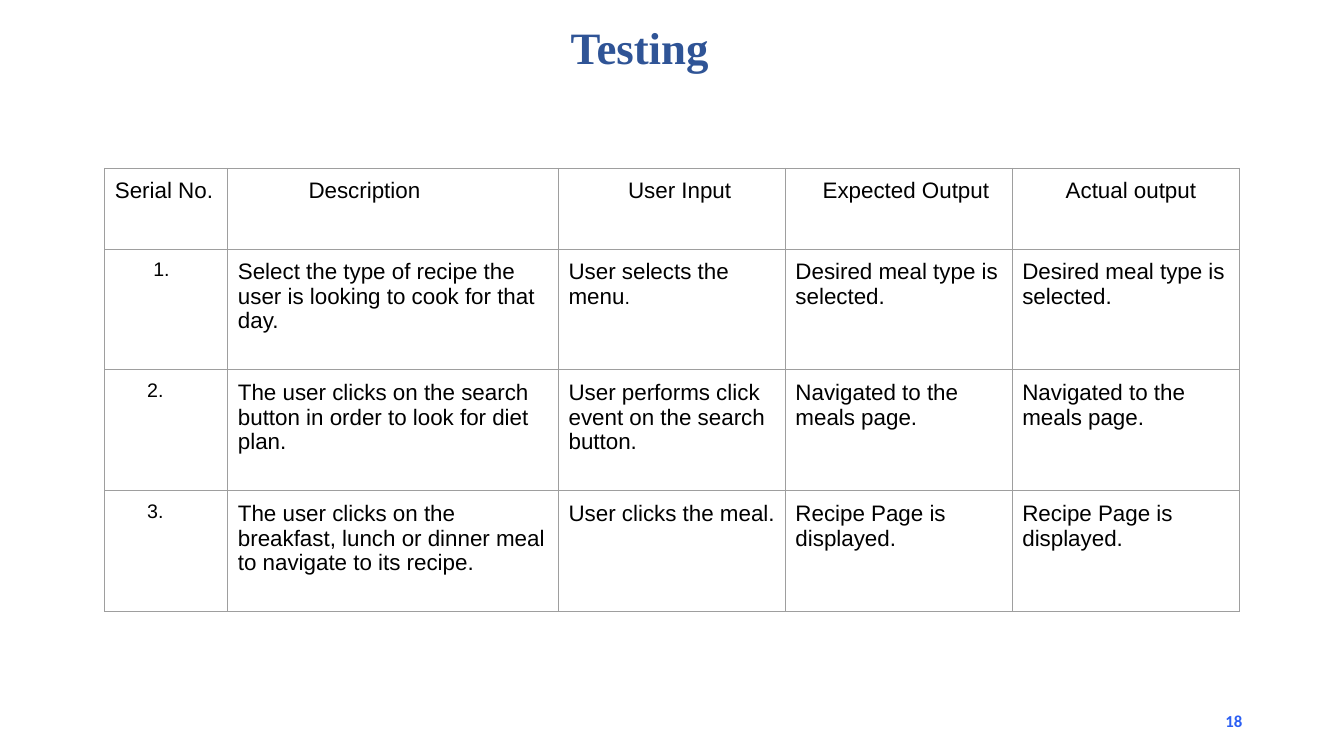
from lxml.etree import SubElement
from pptx import Presentation
from pptx.dml.color import RGBColor
from pptx.enum.text import MSO_ANCHOR, PP_ALIGN
from pptx.oxml.ns import qn
from pptx.util import Inches, Pt

COLUMN_WIDTHS = [1.22, 3.28, 2.25, 2.25, 2.25]
ROW_HEIGHTS = [0.8, 1.2, 1.2, 1.2]
HEADERS = ["Serial No.", "Description", "User Input", "Expected Output", "Actual output"]
HEADER_INDENTS = [0.1, 0.8, 0.69, 0.37, 0.53]
NUMBER_INDENTS = [0.48, 0.42, 0.42]
TEST_CASES = [
    ["1.", "Select the type of recipe the user is looking to cook for that day.",
     "User selects the menu", "Desired meal type is selected.",
     "Desired meal type is selected."],
    ["2.", "The user clicks on the search button in order to look for diet plan.",
     "User performs click event on the search button.",
     "Navigated to the meals page.", "Navigated to the meals page."],
    ["3.", "The user clicks on the breakfast, lunch or dinner meal to navigate to its recipe.",
     "User clicks the meal.", "Recipe Page is displayed.", "Recipe Page is displayed."],
]


def rgb(hex_color):
    return RGBColor.from_string(hex_color)


class SlideBuilder:
    body_font = "Arial"
    body_color = "000000"
    border_color = "9E9E9E"
    border_width = Pt(0.75)
    cell_margin = Inches(0.1)

    def __init__(self, slide):
        self.slide = slide

    def style_run(self, run, size, font=body_font, color=body_color, bold=False):
        run.font.size = Pt(size)
        run.font.name = font
        run.font.bold = bold
        run.font.color.rgb = rgb(color)

    def text(self, words, left, top, width, height, size, font, color, align,
             anchor=MSO_ANCHOR.TOP, line_spacing=1.0):
        box = self.slide.shapes.add_textbox(
            Inches(left), Inches(top), Inches(width), Inches(height))
        frame = box.text_frame
        frame.text = words
        frame.word_wrap = True
        frame.vertical_anchor = anchor
        paragraph = frame.paragraphs[0]
        paragraph.alignment = align
        paragraph.line_spacing = line_spacing
        self.style_run(paragraph.runs[0], size, font, color, bold=True)

    def table(self, left, top, column_widths, row_heights):
        """Add an empty table without the banded style."""
        table = self.slide.shapes.add_table(
            len(row_heights), len(column_widths), Inches(left), Inches(top),
            Inches(sum(column_widths)), Inches(sum(row_heights))).table
        table.first_row = table.horz_banding = False
        for column, width in zip(table.columns, column_widths):
            column.width = Inches(width)
        for row, height in zip(table.rows, row_heights):
            row.height = Inches(height)
        return table

    def cell(self, cell, words, size=16, indent=0.1):
        cell.margin_left = Inches(indent)
        cell.margin_right = cell.margin_top = cell.margin_bottom = self.cell_margin
        cell.text_frame.text = words
        self.style_run(cell.text_frame.paragraphs[0].runs[0], size)
        self.borders(cell)
        cell.fill.background()

    def borders(self, cell):
        properties = cell._tc.get_or_add_tcPr()
        for side in ("a:lnL", "a:lnR", "a:lnT", "a:lnB"):
            line = SubElement(properties, qn(side), w=str(self.border_width))
            fill = SubElement(line, qn("a:solidFill"))
            SubElement(fill, qn("a:srgbClr"), val=self.border_color)


def main():
    presentation = Presentation()
    presentation.slide_width = Inches(13.33)
    presentation.slide_height = Inches(7.5)
    builder = SlideBuilder(presentation.slides.add_slide(presentation.slide_layouts[6]))

    builder.text("18", 9.42, 6.95, 3, 0.4, 12, "Calibri", "2B5FF3",
                 PP_ALIGN.RIGHT, anchor=MSO_ANCHOR.MIDDLE)
    builder.text("Testing", 2.26, 0.21, 8.17, 0.78, 32, "Times New Roman", "2F5496",
                 PP_ALIGN.CENTER, line_spacing=0.9)

    tests = builder.table(1.04, 1.67, COLUMN_WIDTHS, ROW_HEIGHTS)
    for column, (header, indent) in enumerate(zip(HEADERS, HEADER_INDENTS)):
        builder.cell(tests.cell(0, column), header, indent=indent)
    for row, (test_case, indent) in enumerate(zip(TEST_CASES, NUMBER_INDENTS), start=1):
        number, *details = test_case
        builder.cell(tests.cell(row, 0), number, size=14, indent=indent)
        for column, detail in enumerate(details, start=1):
            builder.cell(tests.cell(row, column), detail)

    menu_full_stop = tests.cell(1, 2).text_frame.paragraphs[0].add_run()
    menu_full_stop.text = "."
    builder.style_run(menu_full_stop, 14)

    presentation.save("out.pptx")


if __name__ == "__main__":
    main()
